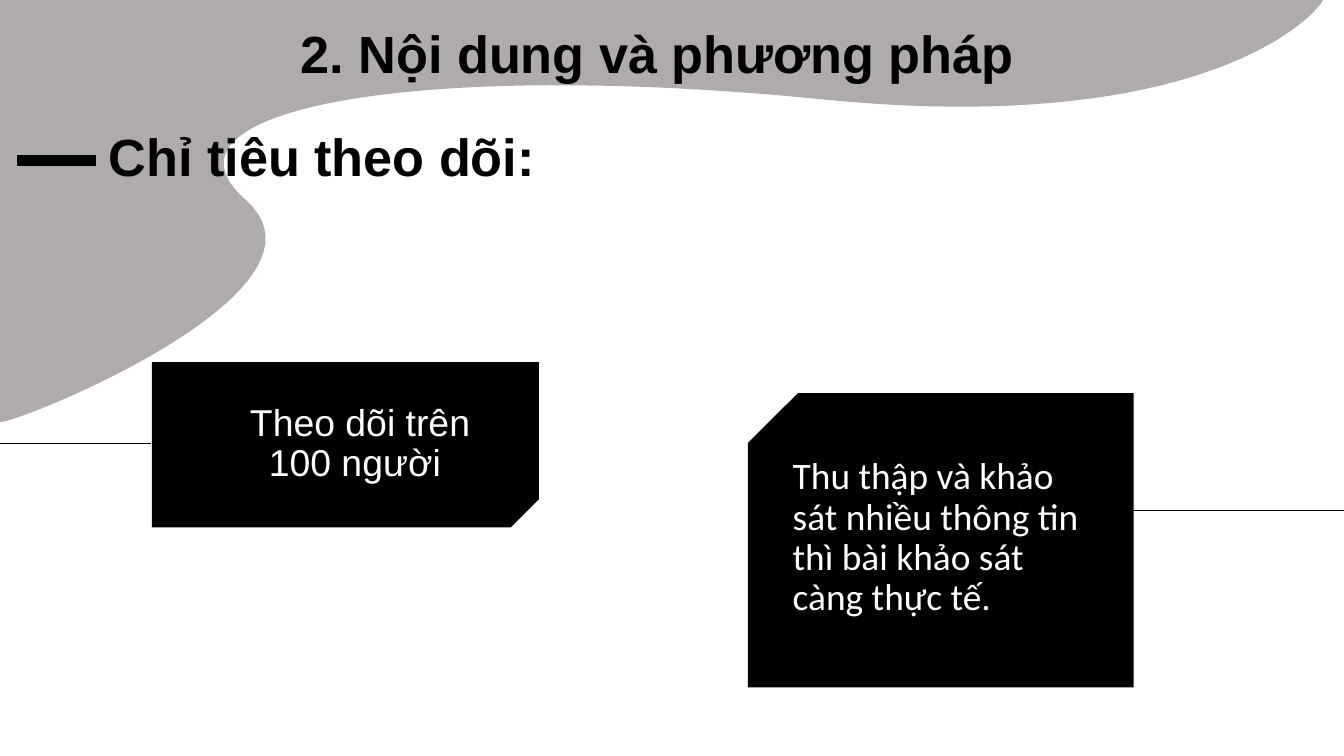
"""Build the slide on methods and tracked indicators."""
from dataclasses import dataclass

from lxml import etree
from pptx import Presentation
from pptx.dml.color import RGBColor
from pptx.enum.shapes import MSO_CONNECTOR, MSO_SHAPE
from pptx.enum.text import MSO_ANCHOR, MSO_AUTO_SIZE, PP_ALIGN
from pptx.oxml.ns import qn
from pptx.shapes.base import BaseShape
from pptx.slide import Slide
from pptx.util import Pt

PX = 4572
SLIDE_WIDTH, SLIDE_HEIGHT = 2000, 1125
INSET = 20
BLACK = RGBColor(0x00, 0x00, 0x00)
WHITE = RGBColor(0xFF, 0xFF, 0xFF)
GREY = RGBColor(0xAF, 0xAB, 0xAB)
LEFT, CENTER, RIGHT = PP_ALIGN.LEFT, PP_ALIGN.CENTER, PP_ALIGN.RIGHT
TOP, MIDDLE = MSO_ANCHOR.TOP, MSO_ANCHOR.MIDDLE
NO_AUTOFIT = MSO_AUTO_SIZE.NONE
SNIPPED = MSO_SHAPE.SNIP_1_RECTANGLE
STRAIGHT = MSO_CONNECTOR.STRAIGHT
CURVE_STEPS = 40

Point = tuple[float, float]


@dataclass(frozen=True)
class Box:
    left: int
    top: int
    width: int
    height: int


@dataclass(frozen=True)
class Label:
    box: Box
    text: str
    size: int
    color: RGBColor
    font: str = "Arial"
    bold: bool = False
    align: PP_ALIGN = LEFT
    anchor: MSO_ANCHOR = TOP
    spacing: float = 1.0


@dataclass(frozen=True)
class Card:
    box: Box
    snip: float
    rotation: int = 0
    flipped: bool = False


@dataclass(frozen=True)
class Rule:
    start: int
    end: int
    y: int
    weight: float


BLOB_START = (1968, 0)
BLOB_CURVES = (
    ((1976, 0), (1826, 208), (1224, 148)),
    ((624, 88), (210, 162), (366, 298)),
    ((520, 434), (16, 634), (0, 628)),
)
CARDS = (
    Card(Box(1113, 585, 574, 438), 0.17, flipped=True),
    Card(Box(391, 374, 246, 576), 0.17, rotation=90),
)
RULES = (
    Rule(2002, 1686, 760, 0.75),
    Rule(225, 0, 660, 0.75),
    Rule(26, 143, 239, 6),
)
TITLE = Label(Box(388, 12, 1140, 206), "2. Nội dung và phương pháp", 28, BLACK,
              bold=True, align=RIGHT)
LABELS = (
    Label(Box(142, 165, 1256, 146), "Chỉ tiêu theo dõi:", 28, BLACK, bold=True),
    Label(Box(306, 568, 460, 186), "Theo dõi trên 100 người ", 20, WHITE,
          align=CENTER, anchor=MIDDLE, spacing=0.9),
    Label(Box(1160, 611, 480, 380),
          "Thu thập và khảo sát nhiều thông tin thì bài khảo sát càng thực tế.",
          20, WHITE, font="Calibri", anchor=MIDDLE, spacing=0.9),
)


def place(shape: BaseShape, box: Box) -> None:
    """Move and size a shape."""
    shape.left, shape.top = box.left * PX, box.top * PX
    shape.width, shape.height = box.width * PX, box.height * PX


def paint(shape: BaseShape, color: RGBColor) -> None:
    """Give a shape a flat fill without outline or shadow."""
    shape.shadow.inherit = False
    shape.fill.solid()
    shape.fill.fore_color.rgb = color
    shape.line.fill.background()


def curve_points(start: Point, first: Point, second: Point, end: Point) -> list[Point]:
    """Return points along a cubic curve, without its start."""
    points = []
    for step in range(1, CURVE_STEPS + 1):
        t = step / CURVE_STEPS
        u = 1 - t
        weights = (u ** 3, 3 * u * u * t, 3 * u * t * t, t ** 3)
        x, y = (sum(weight * value for weight, value in zip(weights, values))
                for values in zip(start, first, second, end))
        points.append((x, y))
    return points


def draw_blob(slide: Slide) -> None:
    """Draw the grey wave in the top left corner."""
    points = [BLOB_START]
    for curve in BLOB_CURVES:
        points += curve_points(points[-1], *curve)
    builder = slide.shapes.build_freeform(0, 0, scale=1.0)
    builder.add_line_segments([(x * PX, y * PX) for x, y in points], close=True)
    paint(builder.convert_to_shape(), GREY)


def draw_card(slide: Slide, card: Card) -> None:
    """Draw a black rectangle with one snipped corner."""
    shape = slide.shapes.add_shape(SNIPPED, 0, 0, 0, 0)
    place(shape, card.box)
    paint(shape, BLACK)
    shape.adjustments[0] = card.snip
    shape.rotation = card.rotation
    if card.flipped:
        shape._element.spPr.find(qn("a:xfrm")).set("flipH", "1")


def draw_rule(slide: Slide, rule: Rule) -> None:
    """Draw a horizontal black line."""
    y = rule.y * PX
    line = slide.shapes.add_connector(STRAIGHT, rule.start * PX, y, rule.end * PX, y)
    line.line.color.rgb = BLACK
    line.line.width = Pt(rule.weight)
    etree.SubElement(line._element.spPr, qn("a:effectLst"))


def write_label(shape: BaseShape, label: Label) -> None:
    """Place a text shape and write its label."""
    place(shape, label.box)
    frame = shape.text_frame
    frame.word_wrap = True
    frame.auto_size = NO_AUTOFIT
    frame.vertical_anchor = label.anchor
    frame.margin_left = frame.margin_right = INSET * PX
    frame.margin_top = frame.margin_bottom = INSET * PX
    paragraph = frame.paragraphs[0]
    paragraph.alignment = label.align
    paragraph.line_spacing = label.spacing
    paragraph.space_before = Pt(0)
    run = paragraph.add_run()
    run.text = label.text
    run.font.name = label.font
    run.font.size = Pt(label.size)
    run.font.bold = label.bold
    run.font.color.rgb = label.color


def main() -> None:
    """Build and save the presentation."""
    presentation = Presentation()
    presentation.slide_width = SLIDE_WIDTH * PX
    presentation.slide_height = SLIDE_HEIGHT * PX
    slide = presentation.slides.add_slide(presentation.slide_layouts[5])
    draw_blob(slide)
    for card in CARDS:
        draw_card(slide, card)
    for rule in RULES:
        draw_rule(slide, rule)
    title = slide.shapes.title
    slide.shapes._spTree.append(title._element)
    write_label(title, TITLE)
    for label in LABELS:
        write_label(slide.shapes.add_textbox(0, 0, 0, 0), label)
    presentation.save("out.pptx")


if __name__ == "__main__":
    main()
